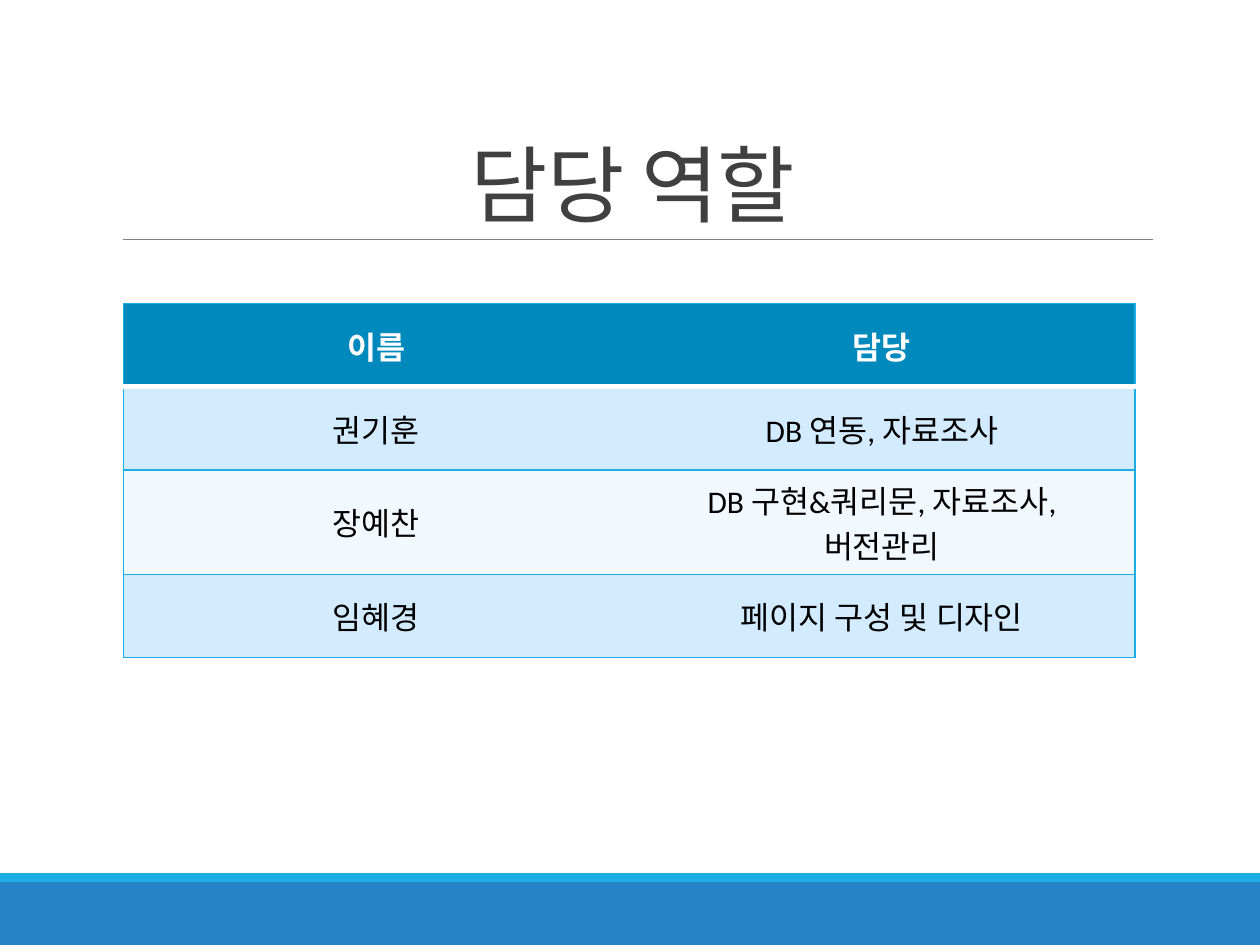
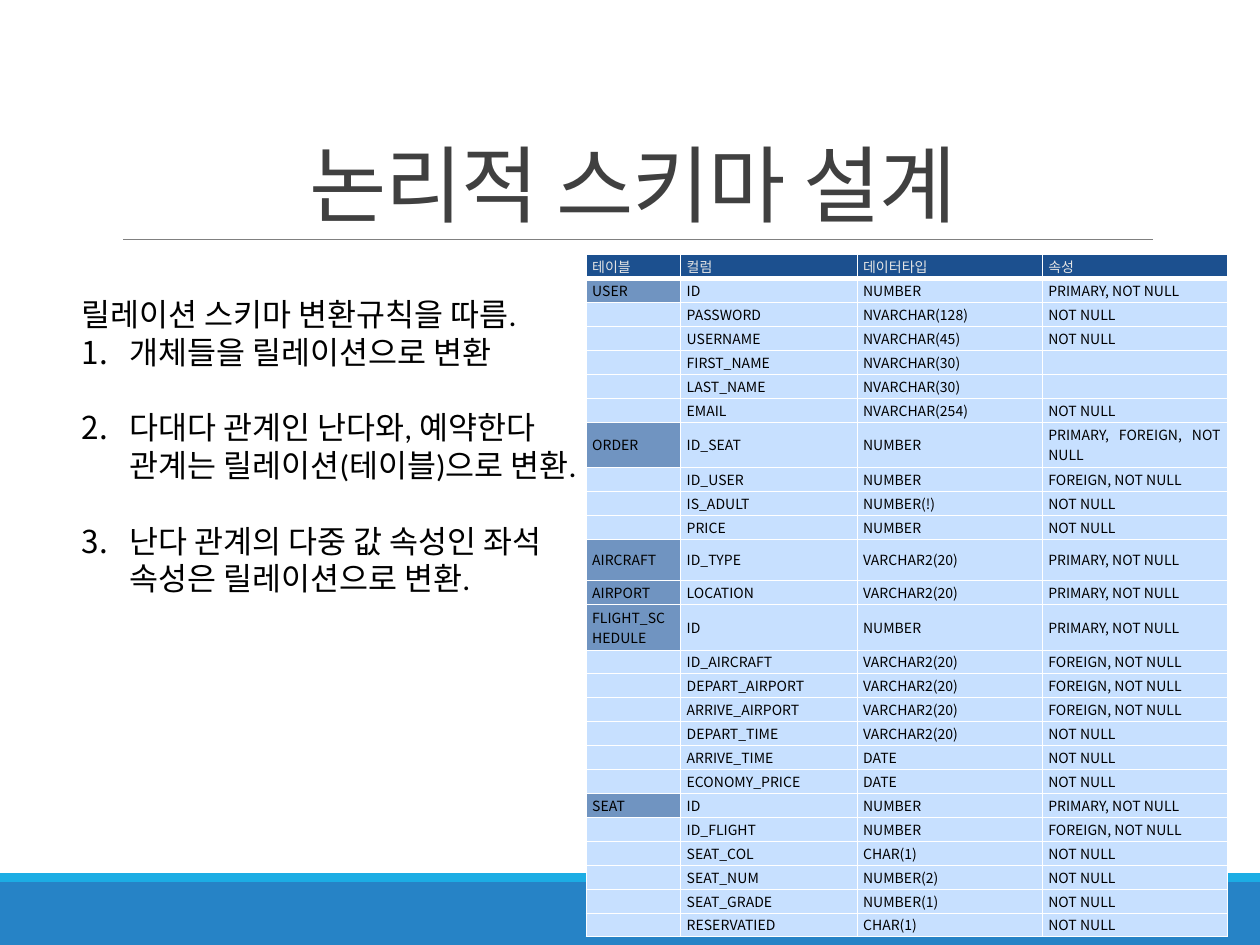
from lxml import etree
from pptx import Presentation
from pptx.dml.color import RGBColor
from pptx.enum.shapes import MSO_CONNECTOR, MSO_SHAPE
from pptx.enum.text import MSO_ANCHOR, PP_ALIGN
from pptx.oxml.ns import qn
from pptx.util import Inches, Pt

COLORS = {
    "band": "2683C6", "edge": "1CADE4", "rule": "808080", "title": "404040",
    "white": "FFFFFF", "black": "000000", "head": "0089BD",
    "odd": "D3EBFF", "even": "F1F9FF",
    "navy": "1C508F", "pale": "E5E5E5", "key": "7094C1", "cell": "C7E0FF",
}
LATIN, KOREAN = "Calibri", "Noto Sans CJK KR"
PLAIN = "{2D5ABB26-0587-4C30-8999-92F81FD0307C}"  # table style without lines

ROLES = [
    ("이름", "담당"),
    ("권기훈", "DB 연동, 자료조사"),
    ("장예찬", "DB 구현&쿼리문, 자료조사,\n버전관리"),
    ("임혜경", "페이지 구성 및 디자인"),
]

RULES = [
    "릴레이션 스키마 변환규칙을 따름.",
    "개체들을 릴레이션으로 변환",
    "다대다 관계인 난다와, 예약한다 관계는 릴레이션(테이블)으로 변환.",
    "난다 관계의 다중 값 속성인 좌석 속성은 릴레이션으로 변환.",
]

NEED = "NOT NULL"
MAIN, LINK = "PRIMARY, " + NEED, "FOREIGN, " + NEED
HEADS = ("테이블", "컬럼", "데이터타입", "속성")
SCHEMA = {
    "USER": [
        ("ID", "NUMBER", MAIN),
        ("PASSWORD", "NVARCHAR(128)", NEED),
        ("USERNAME", "NVARCHAR(45)", NEED),
        ("FIRST_NAME", "NVARCHAR(30)", ""),
        ("LAST_NAME", "NVARCHAR(30)", ""),
        ("EMAIL", "NVARCHAR(254)", NEED),
    ],
    "ORDER": [
        ("ID_SEAT", "NUMBER", "PRIMARY, FOREIGN, NOT NULL"),
        ("ID_USER", "NUMBER", LINK),
        ("IS_ADULT", "NUMBER(!)", NEED),
        ("PRICE", "NUMBER", NEED),
    ],
    "AIRCRAFT": [("ID_TYPE", "VARCHAR2(20)", MAIN)],
    "AIRPORT": [("LOCATION", "VARCHAR2(20)", MAIN)],
    "FLIGHT_SCHEDULE": [
        ("ID", "NUMBER", MAIN),
        ("ID_AIRCRAFT", "VARCHAR2(20)", LINK),
        ("DEPART_AIRPORT", "VARCHAR2(20)", LINK),
        ("ARRIVE_AIRPORT", "VARCHAR2(20)", LINK),
        ("DEPART_TIME", "VARCHAR2(20)", NEED),
        ("ARRIVE_TIME", "DATE", NEED),
        ("ECONOMY_PRICE", "DATE", NEED),
    ],
    "SEAT": [
        ("ID", "NUMBER", MAIN),
        ("ID_FLIGHT", "NUMBER", LINK),
        ("SEAT_COL", "CHAR(1)", NEED),
        ("SEAT_NUM", "NUMBER(2)", NEED),
        ("SEAT_GRADE", "NUMBER(1)", NEED),
        ("RESERVATIED", "CHAR(1)", NEED),
    ],
}
TALL = {"ORDER": 0.36, "AIRCRAFT": 0.33, "FLIGHT_SCHEDULE": 0.36}


def rgb(name):
    """Look up a named colour."""
    return RGBColor.from_string(COLORS[name])


def style(frame, size, color, face=LATIN, bold=False, align=None):
    """Format every paragraph and run of a text frame."""
    for para in frame.paragraphs:
        para.alignment = align
        for run in para.runs:
            font = run.font
            font.size, font.name, font.bold = Pt(size), face, bold
            font.color.rgb = rgb(color)
        if not para.runs:
            end = etree.SubElement(para._p, qn("a:endParaRPr"))
            end.set("sz", str(size * 100))


def border(cell, **sides):
    """Draw cell borders; each side (L, R, T, B) is a colour and a width."""
    props = cell._tc.get_or_add_tcPr()
    spot = 0
    for side in "LRTB":
        if side not in sides:
            continue
        color, width = sides[side]
        line = etree.Element(qn("a:ln" + side), w=str(int(Pt(width))))
        fill = etree.SubElement(line, qn("a:solidFill"))
        etree.SubElement(fill, qn("a:srgbClr"), val=COLORS[color])
        props.insert(spot, line)
        spot += 1


def paint(cell, text, fill):
    """Put text and a fill in a table cell."""
    cell.text_frame.text = text
    cell.vertical_anchor = MSO_ANCHOR.MIDDLE
    cell.fill.solid()
    cell.fill.fore_color.rgb = rgb(fill)


def grid(slide, left, top, cols, rows):
    """Add an unstyled table with the given column widths and row heights."""
    table = slide.shapes.add_table(
        len(rows), len(cols), Inches(left), Inches(top),
        Inches(sum(cols)), Inches(sum(rows))).table
    table._tbl.tblPr.find(qn("a:tableStyleId")).text = PLAIN
    for col, width in zip(table.columns, cols):
        col.width = Inches(width)
    for row, height in zip(table.rows, rows):
        row.height = Inches(height)
    return table


def box(slide, left, top, width, height):
    """Add a wrapping text box and return its frame."""
    frame = slide.shapes.add_textbox(
        Inches(left), Inches(top), Inches(width), Inches(height)).text_frame
    frame.word_wrap = True
    return frame


def start(deck, title):
    """Add a slide with the shared bands, rule and title."""
    slide = deck.slides.add_slide(deck.slide_layouts[6])
    for top, height, color in ((7, 0.5, "band"), (6.93, 0.07, "edge")):
        band = slide.shapes.add_shape(
            MSO_SHAPE.RECTANGLE, 0, Inches(top), deck.slide_width, Inches(height))
        band.shadow.inherit = False
        band.fill.solid()
        band.fill.fore_color.rgb = rgb(color)
        band.line.fill.background()
    rule = slide.shapes.add_connector(
        MSO_CONNECTOR.STRAIGHT, Inches(0.98), Inches(1.9), Inches(9.15), Inches(1.9))
    rule.line.color.rgb = rgb("rule")
    rule.line.width = Pt(0.5)
    etree.SubElement(rule._element.spPr, qn("a:effectLst"))
    frame = box(slide, 0.9, 0.31, 8.25, 1.59)
    frame.vertical_anchor = MSO_ANCHOR.BOTTOM
    frame.text = title
    style(frame, 48, "title", align=PP_ALIGN.CENTER)
    para = frame.paragraphs[0]
    para.line_spacing = 0.85
    para.runs[0].font._element.set("spc", "-50")
    return slide


def roles(slide):
    """Build the table of who does what."""
    high = [0.83 if "\n" in duty else 0.66 for _, duty in ROLES]
    table = grid(slide, 0.98, 2.41, (4.01, 4.02), high)
    edge, gap = ("edge", 1), ("white", 3)
    for r, row in enumerate(ROLES):
        head = r == 0
        fill = "head" if head else "odd" if r % 2 else "even"
        for c, text in enumerate(row):
            cell = table.cell(r, c)
            paint(cell, text, fill)
            style(cell.text_frame, 18, "white" if head else "black",
                  bold=head, align=PP_ALIGN.CENTER)
            border(cell, **{"R" if c else "L": edge},
                   T=gap if r == 1 else edge, B=gap if head else edge)


def schema(slide):
    """Build the table of columns, types and constraints."""
    rows, high = [HEADS], [0.19]
    for name, fields in SCHEMA.items():
        for i, field in enumerate(fields):
            rows.append(("" if i else name, *field))
            high.append(0.19 if i else TALL.get(name, 0.19))
    table = grid(slide, 4.65, 2.02, (0.75, 1.4, 1.47, 1.47), high)
    thin, thick = ("white", 0.28), ("white", 2.83)
    for r, row in enumerate(rows):
        head = r == 0
        for c, text in enumerate(row):
            cell = table.cell(r, c)
            key = c == 0 and text
            paint(cell, text, "navy" if head else "key" if key else "cell")
            cell.margin_left = cell.margin_right = Inches(0.05)
            cell.margin_top = cell.margin_bottom = Inches(0.01)
            style(cell.text_frame, 8, "pale" if head else "black",
                  LATIN if head else KOREAN, align=PP_ALIGN.JUSTIFY)
            border(cell, L=thin, R=thin, T=thick if r == 1 else thin,
                   B=thick if head else thin)


def rules(slide):
    """Write the numbered conversion rules."""
    frame = box(slide, 0.55, 2.29, 4.09, 2.83)
    frame.text = "\n".join(RULES)
    style(frame, 18, "black")
    for i, para in enumerate(frame.paragraphs[1:]):
        if i:
            para.space_before = Pt(21.6)
        props = para._p.get_or_add_pPr()
        props.set("marL", str(Inches(0.38)))
        props.set("indent", str(-Inches(0.38)))
        etree.SubElement(props, qn("a:buFont"), typeface="+mj-lt")
        etree.SubElement(props, qn("a:buAutoNum"), type="arabicPeriod")


deck = Presentation()
deck.slide_width, deck.slide_height = Inches(10), Inches(7.5)
roles(start(deck, "담당 역할"))
plan = start(deck, "논리적 스키마 설계")
schema(plan)
rules(plan)
deck.save("out.pptx")
